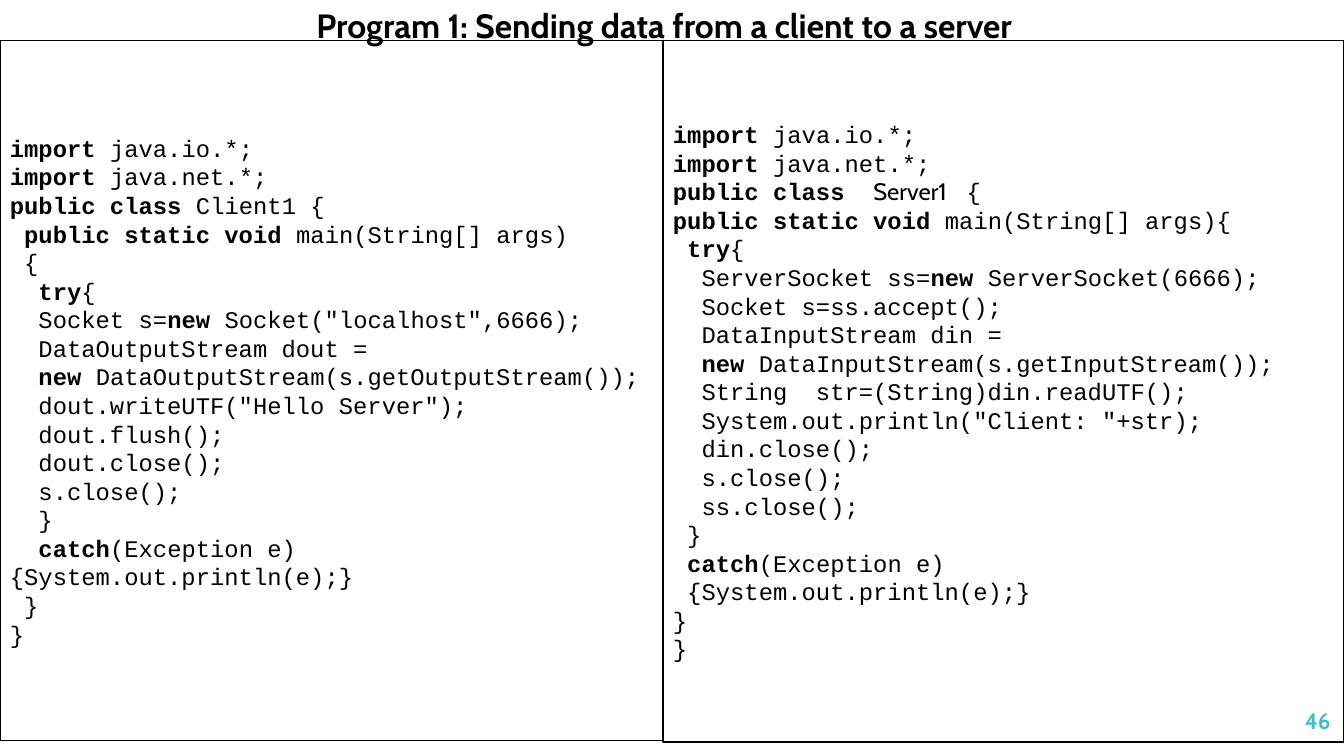
from pptx import Presentation
from pptx.dml.color import RGBColor
from pptx.enum.shapes import MSO_SHAPE
from pptx.enum.text import MSO_ANCHOR, PP_ALIGN
from pptx.util import Cm, Pt

RECT = MSO_SHAPE.RECTANGLE
TOP, MIDDLE = MSO_ANCHOR.TOP, MSO_ANCHOR.MIDDLE
LEFT, CENTER, RIGHT = PP_ALIGN.LEFT, PP_ALIGN.CENTER, PP_ALIGN.RIGHT
TEXT_FONT, CODE_FONT = "Cabin", "Courier New"
BLACK, WHITE, CYAN = "000000", "FFFFFF", "40BAD2"
SLIDE_W, SLIDE_H = 33.87, 19.05
PANEL_TOP, CLIENT_W = 1.02, 16.71

CLIENT_CODE = """|import| java.io.*;
|import| java.net.*;
|public class |Client1 {
| public static void| main(String[] args)
 {
|  try|{
  Socket s=|new| Socket("localhost",6666);
  DataOutputStream dout =
|  new |DataOutputStream(s.getOutputStream());
  dout.writeUTF("Hello Server");
  dout.flush();
  dout.close();
  s.close();
  }
|  catch|(Exception e)
{System.out.println(e);}
 }
}"""

SERVER_CODE = """|import| java.io.*;
|import| java.net.*;
|public class  |Server1 || {
|public static void| main(String[] args){
| try|{
  ServerSocket ss=|new |ServerSocket(6666);
  Socket s=ss.accept();
  DataInputStream din =
|  new |DataInputStream(s.getInputStream());
  String  str=(String)din.readUTF();
  System.out.println("Client: "+str);
  din.close();
  s.close();
  ss.close();
 }
| catch|(Exception e)
 {System.out.println(e);}
}
}"""


def rgb(value):
    """Turn a hex string into a colour."""
    return RGBColor.from_string(value)


def format_run(r, font, size, color, bold):
    """Set the font of a run."""
    r.font.name = font
    r.font.size = Pt(size)
    r.font.bold = bold
    r.font.color.rgb = rgb(color)


def add_code_panel(s, left, top, width, height, code):
    """Draw a bordered code panel; text between bars is bold."""
    panel = s.shapes.add_shape(RECT, Cm(left), Cm(top), Cm(width), Cm(height))
    panel.shadow.inherit = False
    panel.fill.solid()
    panel.fill.fore_color.rgb = rgb(WHITE)
    panel.line.color.rgb = rgb(BLACK)
    panel.line.width = Pt(0.85)
    tf = panel.text_frame
    tf.word_wrap = True
    tf.vertical_anchor = MIDDLE
    tf.text = code
    for p, line in zip(tf.paragraphs, code.splitlines()):
        p.text = ""
        p.alignment = LEFT
        for i, piece in enumerate(line.split("|")):
            if piece:
                r = p.add_run()
                r.text = piece
                font = TEXT_FONT if piece == "Server1 " else CODE_FONT
                format_run(r, font, 17, BLACK, i % 2 == 1)


def add_label(s, left, top, width, height, text, size, color, align, anchor):
    """Place one line of bold text in the given box."""
    box = s.shapes.add_textbox(Cm(left), Cm(top), Cm(width), Cm(height))
    tf = box.text_frame
    tf.word_wrap = True
    tf.vertical_anchor = anchor
    tf.text = text
    p = tf.paragraphs[0]
    p.alignment = align
    format_run(p.runs[0], TEXT_FONT, size, color, True)


def main():
    """Build the slide and save it."""
    prs = Presentation()
    prs.slide_width, prs.slide_height = Cm(SLIDE_W), Cm(SLIDE_H)
    s = prs.slides.add_slide(prs.slide_layouts[6])
    add_code_panel(s, CLIENT_W, PANEL_TOP, SLIDE_W - CLIENT_W, 17.68, SERVER_CODE)
    add_code_panel(s, 0, PANEL_TOP, CLIENT_W, 17.65, CLIENT_CODE)
    add_label(s, 2.11, 0, 29.26, 1.27,
              "Program 1: Sending data from a client to a server",
              24, BLACK, CENTER, TOP)
    add_label(s, 29.54, 17.65, 4.24, 1.02, "46", 16, CYAN, RIGHT, MIDDLE)
    prs.save("out.pptx")


if __name__ == "__main__":
    main()
